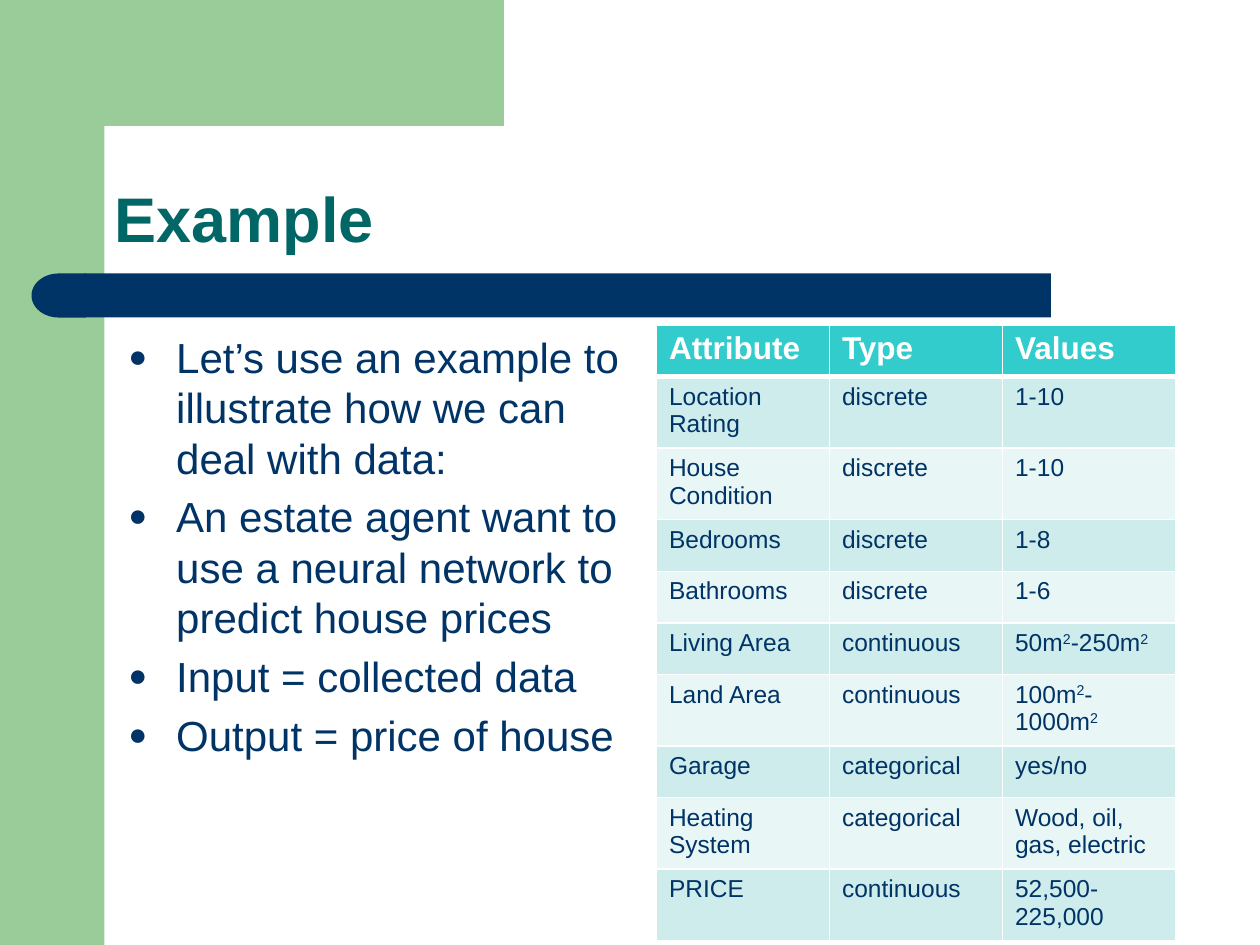
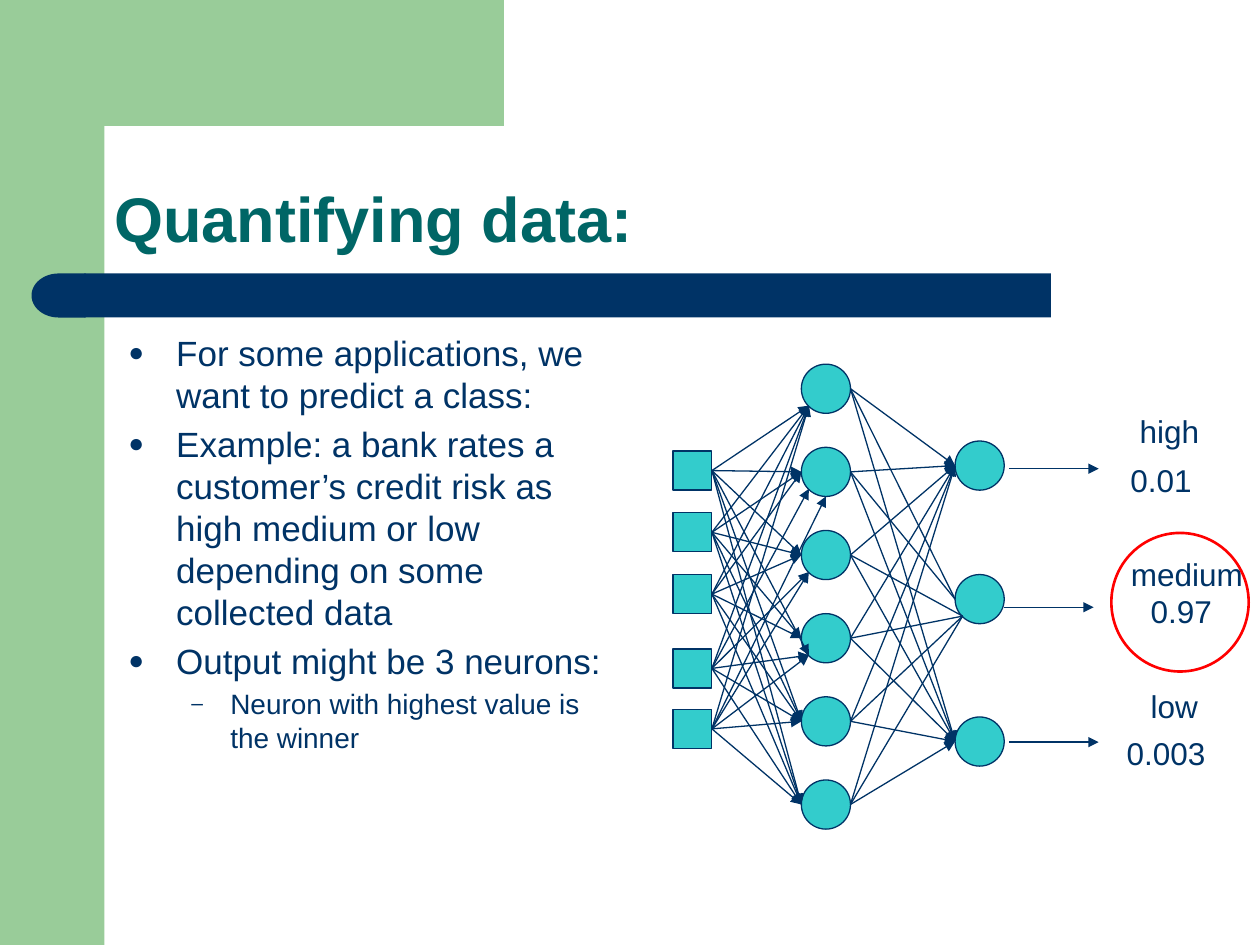
import math

import pptx
import pptx.util
from lxml import etree
from pptx.dml.color import RGBColor
from pptx.enum.shapes import MSO_CONNECTOR, MSO_SHAPE
from pptx.enum.text import MSO_ANCHOR, PP_ALIGN
from pptx.oxml.ns import qn
from pptx.util import Inches, Pt

GREEN = RGBColor(0x99, 0xCC, 0x99)
NAVY = RGBColor(0x00, 0x33, 0x66)
TEAL = RGBColor(0x00, 0x66, 0x66)
TURQUOISE = RGBColor(0x33, 0xCC, 0xCC)
BAND_DARK = RGBColor(0xCE, 0xEC, 0xEC)
BAND_LIGHT = RGBColor(0xE8, 0xF6, 0xF6)
WHITE = RGBColor(0xFF, 0xFF, 0xFF)
RED = RGBColor(0xFF, 0x00, 0x00)

TITLE = {"name": "Arial", "size": Pt(36), "bold": True}
HEADER = {"name": "Arial", "size": Pt(18), "bold": True}
CELL = {"name": "Arial", "size": Pt(14), "bold": False}
LABEL = {"name": "Arial", "size": Pt(18)}

TITLE_BOX = (0.83, 0.83, 8.67, 1.25)
BODY_BOX = (0.92, 2.58, 4.12, 4.07)
TABLE_BOX = (5.21, 2.58, 4.12, 4.1)
NETWORK_BOX = (5.34, 2.89, 3.38, 3.69)
RESULTS_BOX = (8.82, 3.22, 1.15, 2.96)

ATTRIBUTES = [
    ("Attribute", "Type", "Values"),
    ("Location Rating", "discrete", "1-10"),
    ("House Condition", "discrete", "1-10"),
    ("Bedrooms", "discrete", "1-8"),
    ("Bathrooms", "discrete", "1-6"),
    ("Living Area", "continuous", "50m|2|-250m|2"),
    ("Land Area", "continuous", "100m|2|-1000m|2"),
    ("Garage", "categorical", "yes/no"),
    ("Heating System", "categorical", "Wood, oil, gas, electric"),
    ("PRICE", "continuous", "52,500-225,000"),
]


def apply_format(target, values):
    for name, value in values.items():
        setattr(target, name, value)


def add_span(para, text, values, color):
    span = para.add_run()
    span.text = text
    apply_format(span.font, values)
    span.font.color.rgb = color
    return span


def add_text_box(page, box, values):
    frame = page.shapes.add_textbox(*map(Inches, box)).text_frame
    apply_format(frame, values)
    return frame


def style_shape(shape, fill=None, line=None, width=0.75):
    shape.shadow.inherit = False
    for part, color in ((shape.fill, fill), (shape.line.fill, line)):
        if color is None:
            part.background()
        else:
            part.solid()
            part.fore_color.rgb = color
    if line is not None:
        shape.line.width = Pt(width)
    return shape


def add_shape(page, kind, box, **style):
    return style_shape(page.shapes.add_shape(kind, *map(Inches, box)), **style)


def add_line(page, start, end, arrow=True, source=None):
    line = page.shapes.add_connector(MSO_CONNECTOR.STRAIGHT, *map(Inches, (*start, *end)))
    line.line.color.rgb = NAVY
    line.line.width = Pt(0.75)
    if arrow:
        etree.SubElement(line.line._get_or_add_ln(), qn("a:tailEnd"), type="triangle")
    etree.SubElement(line._element.spPr, qn("a:effectLst"))
    if source is not None:
        line.begin_connect(source, 3)


def add_frame(page, title):
    add_shape(page, MSO_SHAPE.RECTANGLE, (0, 0, 0.83, 7.5), fill=GREEN)
    center, radius, steps = 1.16, 0.33, 12
    angles = [math.pi / 2 * step / steps for step in range(steps + 1)]
    arc = [(center - radius * math.sin(a), center - radius * math.cos(a)) for a in angles]
    points = [(3.5, 0), (3.5, 0.83), *arc, (0.83, 1.28), (0.5, 1.28), (0.5, 0)]
    builder = page.shapes.build_freeform(*points[0], scale=Inches(1))
    builder.add_line_segments(points[1:], close=True)
    style_shape(builder.convert_to_shape(), fill=GREEN)
    add_shape(page, MSO_SHAPE.RECTANGLE, (0.67, 2.17, 7.67, 0.35), fill=NAVY)
    add_shape(page, MSO_SHAPE.FLOWCHART_DELAY, (0.25, 2.17, 0.43, 0.35), fill=NAVY).rotation = 180

    frame = add_text_box(page, TITLE_BOX, {
        "word_wrap": True, "vertical_anchor": MSO_ANCHOR.BOTTOM, "margin_left": Inches(0.08)})
    para = frame.paragraphs[0]
    para.line_spacing = 0.9
    add_span(para, title, TITLE, TEAL)


def add_bullets(page, box, items):
    frame = add_text_box(page, box, {"word_wrap": True})
    for index, (level, size, text) in enumerate(items):
        para = frame.add_paragraph() if index else frame.paragraphs[0]
        char, margin, hanging = (("●", 0.38, 0.38), ("–", 0.81, 0.31))[level]
        apply_format(para, {
            "level": level,
            "line_spacing": Pt(1.2 * size),
            "space_before": Pt(0.2 * size if index else 0),
        })
        props = para._p.get_or_add_pPr()
        props.set("marL", str(Inches(margin)))
        props.set("indent", str(-Inches(hanging)))
        color = etree.SubElement(props, qn("a:buClr"))
        etree.SubElement(color, qn("a:srgbClr"), val=str(NAVY))
        etree.SubElement(props, qn("a:buSzPct"), val="75000")
        etree.SubElement(props, qn("a:buFont"), typeface="Arial")
        etree.SubElement(props, qn("a:buChar"), char=char)
        add_span(para, text, {"name": "Arial", "size": Pt(size)}, NAVY)


def set_borders(cell, bottom):
    props = cell._tc.get_or_add_tcPr()
    for index, side in enumerate(("lnL", "lnR", "lnT", "lnB")):
        width = bottom if side == "lnB" else 1
        border = etree.Element(qn(f"a:{side}"), w=str(Pt(width)))
        fill = etree.SubElement(border, qn("a:solidFill"))
        etree.SubElement(fill, qn("a:srgbClr"), val=str(WHITE))
        props.insert(index, border)


def add_attribute_table(page, box, rows):
    table = page.shapes.add_table(len(rows), len(rows[0]), *map(Inches, box)).table
    table.horz_banding = False
    for column in table.columns:
        column.width = Inches(box[2] / len(rows[0]))
    for row_index, texts in enumerate(rows):
        header = row_index == 0
        band = TURQUOISE if header else BAND_DARK if row_index % 2 else BAND_LIGHT
        for column_index, text in enumerate(texts):
            cell = table.cell(row_index, column_index)
            cell.fill.solid()
            cell.fill.fore_color.rgb = band
            set_borders(cell, bottom=3 if header else 1)
            para = cell.text_frame.paragraphs[0]
            para.alignment = PP_ALIGN.LEFT
            for part_index, part in enumerate(text.split("|")):
                if part:
                    span = add_span(para, part, HEADER if header else CELL,
                                    WHITE if header else NAVY)
                    if part_index % 2:
                        span._r.get_or_add_rPr().set("baseline", "30000")


def add_network(page, box):
    left, top = box[:2]
    square, circle = 0.31, 0.39
    middle = circle / 2
    hidden_left, output_left = left + 1.02, left + 2.24
    input_tops = [top + offset for offset in (0.69, 1.18, 1.67, 2.26, 2.74)]
    hidden_tops = [top + 0.66 * row for row in range(6)]
    output_tops = [top + offset for offset in (0.61, 1.67, 2.8)]
    landings = {"L": (0, middle), "C": (0.06, 0.33), "B": (middle, circle)}
    input_landings = ("CLLCLL", "CLLLLL", "CLLLLL", "CCCCLL", "CBCCLL")
    style = {"fill": TURQUOISE, "line": NAVY}

    inputs = [add_shape(page, MSO_SHAPE.RECTANGLE, (left, y, square, square), **style)
              for y in input_tops]
    for x, tops in ((hidden_left, hidden_tops), (output_left, output_tops)):
        for y in tops:
            add_shape(page, MSO_SHAPE.OVAL, (x, y, circle, circle), **style)

    for source, y, codes in zip(inputs, input_tops, input_landings):
        for hidden_top, code in zip(hidden_tops, codes):
            dx, dy = landings[code]
            add_line(page, (left + square, y + square / 2),
                     (hidden_left + dx, hidden_top + dy), source=source)

    for row, hidden_top in enumerate(hidden_tops):
        for column, output_top in enumerate(output_tops):
            is_middle = column == 1
            dx, dy = landings["C" if is_middle and row > 1 else "L"]
            last_to_first = row == 5 and column == 0
            add_line(page, (hidden_left + circle, hidden_top + middle),
                     (output_left + dx, output_top + dy),
                     arrow=not is_middle and not last_to_first)

    for dx, dy in ((2.67, 0.83), (2.63, 1.93), (2.67, 3.0)):
        add_line(page, (left + dx, top + dy), (left + dx + 0.71, top + dy))


def add_results(page, box):
    left, top = box[:2]
    labels = [
        ("high", 0.12, 0, 0.68), ("0.01", 0.05, 0.39, 0.69),
        ("medium", 0.05, 1.14, 1.1), ("0.97", 0.21, 1.43, 0.69),
        ("low", 0.21, 2.18, 0.58), ("0.003", 0.02, 2.56, 0.83),
    ]
    for text, dx, dy, width in labels:
        frame = add_text_box(page, (left + dx, top + dy, width, 0.4), {"word_wrap": False})
        para = frame.paragraphs[0]
        para.alignment = PP_ALIGN.CENTER
        add_span(para, text, LABEL, NAVY)
    add_shape(page, MSO_SHAPE.OVAL, (left, top + 1.01, 1.09, 1.1), line=RED, width=1.5)


def build_example(page):
    add_frame(page, "Example")
    add_bullets(page, BODY_BOX, [
        (0, 24, "Let’s use an example to illustrate how we can deal with data:"),
        (0, 24, "An estate agent want to use a neural network to predict house prices"),
        (0, 24, "Input = collected data"),
        (0, 24, "Output = price of house"),
    ])
    add_attribute_table(page, TABLE_BOX, ATTRIBUTES)


def build_quantifying(page):
    add_frame(page, "Quantifying data:")
    add_bullets(page, BODY_BOX, [
        (0, 20, "For some applications, we want to predict a class:"),
        (0, 20, "Example: a bank rates a customer’s credit risk as high medium or low "
                "depending on some collected data"),
        (0, 20, "Output might be 3 neurons:"),
        (1, 16, "Neuron with highest value is the winner"),
    ])
    add_network(page, NETWORK_BOX)
    add_results(page, RESULTS_BOX)


def main():
    deck = pptx.Presentation()
    apply_format(deck, {"slide_width": Inches(10), "slide_height": Inches(7.5)})
    for build in (build_example, build_quantifying):
        build(deck.slides.add_slide(deck.slide_layouts[6]))
    deck.save("out.pptx")


if __name__ == "__main__":
    main()
